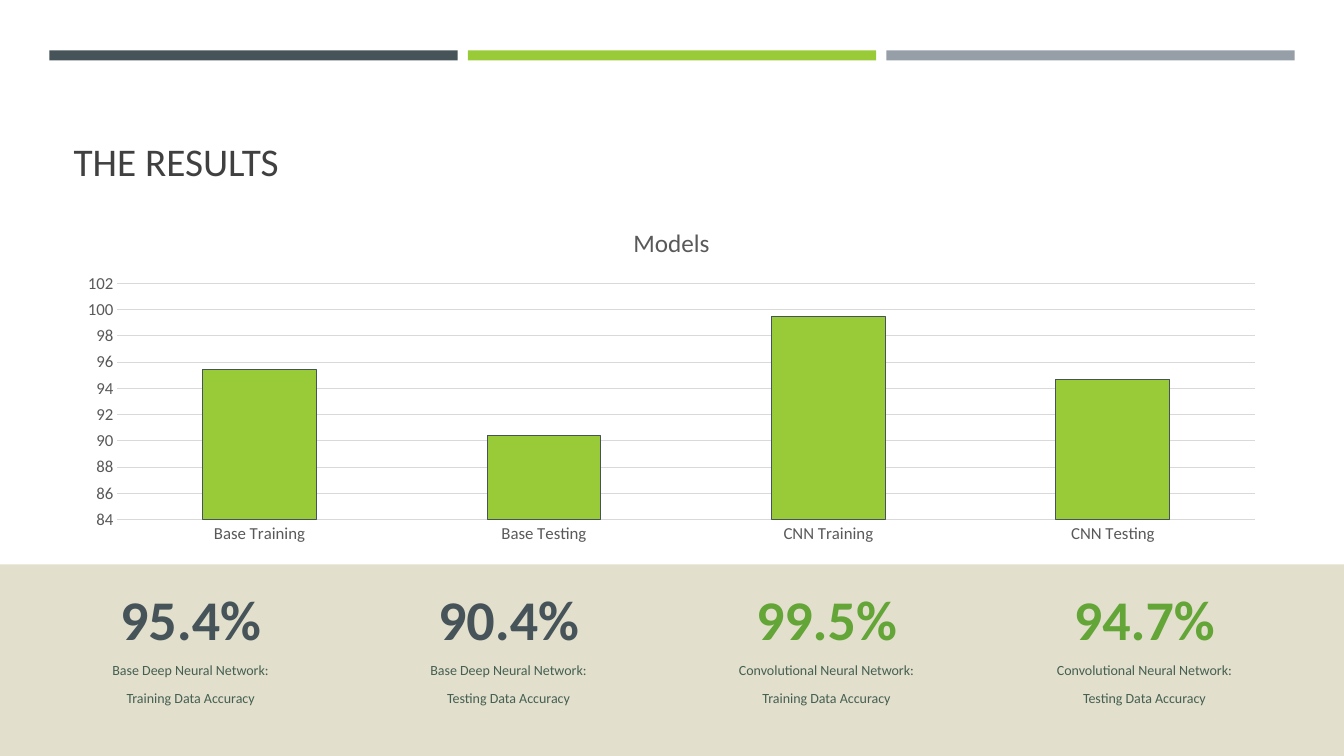
from dataclasses import dataclass

import pptx
import pptx.chart.data
import pptx.dml.color
import pptx.enum.chart
import pptx.enum.shapes
import pptx.enum.text
import pptx.oxml
import pptx.oxml.ns
import pptx.util
from pptx.util import Inches


@dataclass(frozen=True)
class Theme:
    font: str = "Calibri"
    slate: str = "465359"
    lime: str = "99CB38"
    gray: str = "969FA7"
    sand: str = "E2DFCC"
    green: str = "63A537"
    teal: str = "37A76F"
    title: str = "404040"
    caption: str = "455F51"
    chart_text: str = "595959"
    grid: str = "D9D9D9"
    title_size: int = 28
    figure_size: int = 40
    caption_size: int = 10
    chart_title_size: int = 18
    axis_size: int = 12
    line_width: float = 0.75


@dataclass(frozen=True)
class Bar:
    left: float
    top: float
    width: float
    height: float
    color: str


@dataclass(frozen=True)
class Result:
    category: str
    accuracy: float
    network: str
    data: str
    color: str


THEME = Theme()
BARS = [Bar(0.49 + 4.15 * i, 0.5, 4.05, 0.1, color)
        for i, color in enumerate((THEME.slate, THEME.lime, THEME.gray))]
BARS.append(Bar(0, 5.6, 13.33, 1.9, THEME.sand))

BASE, CNN = "Base Deep Neural Network:", "Convolutional Neural Network:"
TRAINING, TESTING = "Training Data Accuracy", "Testing Data Accuracy"
RESULTS = [
    Result("Base Training", 95.4, BASE, TRAINING, THEME.slate),
    Result("Base Testing", 90.4, BASE, TESTING, THEME.slate),
    Result("CNN Training", 99.5, CNN, TRAINING, THEME.green),
    Result("CNN Testing", 94.7, CNN, TESTING, THEME.green),
]
FIRST_LEFT, LAST_LEFT, COLUMN_WIDTH = 0.83, 10.29, 2.12
COLUMN_PITCH = (LAST_LEFT - FIRST_LEFT) / (len(RESULTS) - 1)


def rgb(color: str) -> pptx.dml.color.RGBColor:
    return pptx.dml.color.RGBColor.from_string(color)


def style_font(font, size: float, color: str, bold: bool = False) -> None:
    font.name = THEME.font
    font.size = pptx.util.Pt(size)
    font.bold = bold
    font.color.rgb = rgb(color)


def style_line(line, color: str) -> None:
    line.color.rgb = rgb(color)
    line.width = pptx.util.Pt(THEME.line_width)


def place(shape, left: float, top: float, width: float, height: float) -> None:
    shape.left, shape.top = Inches(left), Inches(top)
    shape.width, shape.height = Inches(width), Inches(height)


def draw_bar(s, bar: Bar) -> None:
    """Draw a background bar behind the placeholders."""
    shape = s.shapes.add_shape(
        pptx.enum.shapes.MSO_SHAPE.RECTANGLE, Inches(bar.left), Inches(bar.top),
        Inches(bar.width), Inches(bar.height))
    shape.shadow.inherit = False
    shape.fill.solid()
    shape.fill.fore_color.rgb = rgb(bar.color)
    shape.line.fill.background()
    s.shapes.element.insert(2, shape.element)


def write(shape, text: str, size: float, color: str, align, anchor,
          bold: bool = False) -> None:
    tf = shape.text_frame
    tf.text = text
    tf.word_wrap = True
    tf.auto_size = pptx.enum.text.MSO_AUTO_SIZE.NONE
    tf.vertical_anchor = anchor
    for p in tf.paragraphs:
        p.alignment = align
        for r in p.runs:
            style_font(r.font, size, color, bold)


def draw_result(s, result: Result, caption, left: float) -> None:
    align = pptx.enum.text.PP_ALIGN.CENTER
    anchor = pptx.enum.text.MSO_ANCHOR
    figure = s.shapes.add_textbox(
        Inches(left), Inches(5.83), Inches(COLUMN_WIDTH), Inches(0.61))
    write(figure, f"{result.accuracy}%", THEME.figure_size, result.color,
          align, anchor.MIDDLE, bold=True)
    place(caption, left, 6.51, COLUMN_WIDTH, 0.69)
    write(caption, f"{result.network}\n{result.data}", THEME.caption_size,
          THEME.caption, align, anchor.TOP)
    for p in caption.text_frame.paragraphs:
        p.space_before, p.space_after = pptx.util.Pt(2), pptx.util.Pt(6)
        properties = p._p.get_or_add_pPr()
        properties.set("marL", "0")
        properties.set("indent", "0")
        properties.append(pptx.oxml.parse_xml(
            f"<a:buNone {pptx.oxml.ns.nsdecls('a')}/>"))


def draw_chart(s) -> None:
    data = pptx.chart.data.CategoryChartData()
    data.categories = [result.category for result in RESULTS]
    data.add_series("Series 1", [result.accuracy for result in RESULTS])
    for name in ("Series 2", "Series 3"):
        data.add_series(name, [None] * len(RESULTS))
    chart = s.shapes.add_chart(
        pptx.enum.chart.XL_CHART_TYPE.COLUMN_STACKED,
        Inches(0.63), Inches(2.07), Inches(12.06), Inches(3.39), data).chart
    style_font(chart.font, THEME.axis_size, THEME.chart_text)
    chart.has_legend = False
    chart.has_title = True
    tf = chart.chart_title.text_frame
    tf.text = "Models"
    style_font(tf.paragraphs[0].runs[0].font, THEME.chart_title_size,
               THEME.chart_text)
    chart.chart_title.include_in_layout = False

    plot = chart.plots[0]
    plot.gap_width, plot.overlap = 150, 100
    plot.vary_by_categories = False
    for series, color in zip(plot.series, (THEME.lime, THEME.green, THEME.teal)):
        series.format.fill.solid()
        series.format.fill.fore_color.rgb = rgb(color)
    style_line(plot.series[0].format.line, THEME.slate)

    for axis in (chart.category_axis, chart.value_axis):
        axis.major_tick_mark = pptx.enum.chart.XL_TICK_MARK.NONE
        axis.minor_tick_mark = pptx.enum.chart.XL_TICK_MARK.NONE
        style_font(axis.tick_labels.font, THEME.axis_size, THEME.chart_text)
    style_line(chart.category_axis.format.line, THEME.grid)
    values = chart.value_axis
    values.minimum_scale, values.maximum_scale, values.major_unit = 84, 102, 2
    values.format.line.fill.background()
    values.has_major_gridlines = True
    style_line(values.major_gridlines.format.line, THEME.grid)


def main() -> None:
    prs = pptx.Presentation()
    prs.slide_width, prs.slide_height = Inches(13.33), Inches(7.5)
    comparison_layout = prs.slide_layouts[4]
    s = prs.slides.add_slide(comparison_layout)
    title, *captions = s.placeholders
    for bar in BARS:
        draw_bar(s, bar)
    place(title, 0.63, 0.8, 12.06, 1.08)
    write(title, "THE RESULTS", THEME.title_size, THEME.title,
          pptx.enum.text.PP_ALIGN.LEFT, pptx.enum.text.MSO_ANCHOR.BOTTOM)
    for i, (result, caption) in enumerate(zip(RESULTS, captions)):
        draw_result(s, result, caption, FIRST_LEFT + COLUMN_PITCH * i)
    draw_chart(s)
    prs.save("out.pptx")


if __name__ == "__main__":
    main()
